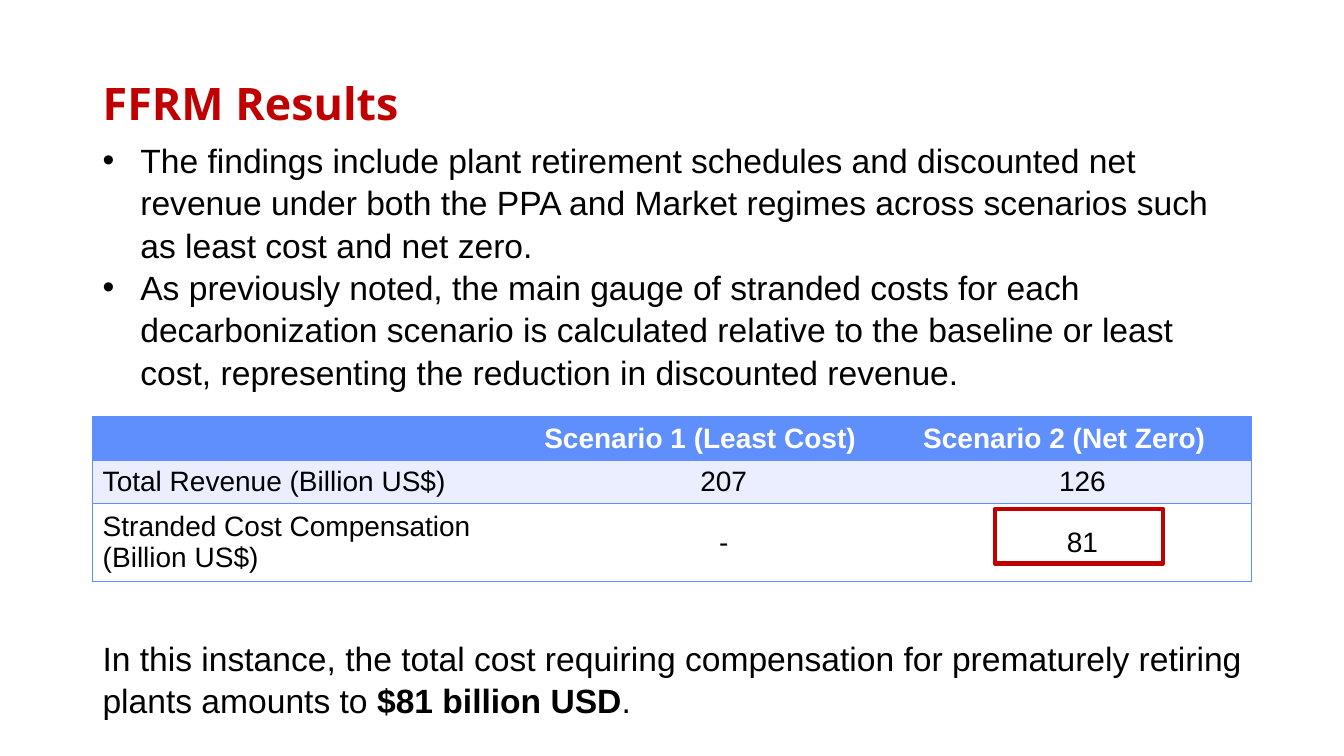
from lxml import etree
from pptx import Presentation
from pptx.dml.color import RGBColor
from pptx.enum import shapes, text
from pptx.oxml import ns
from pptx.util import Pt

COLORS = {"red": "C00000", "blue": "5F8EFD", "band": "EAEEFF", "white": "FFFFFF", "black": "000000"}
LEFT, WIDTH = 66.2, 828
FINDINGS = [
    "The findings include plant retirement schedules and discounted net revenue under both "
    "the PPA and Market regimes across scenarios such as least cost and net zero.",
    "As previously noted, the main gauge of stranded costs for each decarbonization scenario is "
    "calculated relative to the baseline or least cost, representing the reduction in discounted revenue.",
]
RESULTS = [
    ["", "Scenario 1 (Least Cost)", "Scenario 2 (Net Zero)"],
    ["Total Revenue (Billion US$)", "207", "126"],
    ["Stranded Cost Compensation (Billion US$)", "-", "81"],
]
CONCLUSION = [
    ("In this instance, the total cost requiring compensation for prematurely retiring plants amounts to", False),
    (" $81 billion USD", True),
    (".", False),
]
COLUMN_WIDTHS = [315.4, 270.7, 241.9]
ROW_HEIGHTS = [31.2, 31.2, 55.3]
ROW_FILLS = ["blue", "band", "white"]


def rgb(name):
    return RGBColor.from_string(COLORS[name])


def set_font(font, size, color="black", name="Arial", bold=None):
    font.name, font.size, font.bold = name, Pt(size), bold
    font.color.rgb = rgb(color)


def add_title(slide, wording):
    title = slide.shapes.title
    title.left, title.top, title.width, title.height = Pt(LEFT), Pt(28.8), Pt(WIDTH), Pt(89.3)
    frame = title.text_frame
    frame.text = wording
    frame.vertical_anchor = text.MSO_ANCHOR.MIDDLE
    paragraph = frame.paragraphs[0]
    paragraph.alignment = text.PP_ALIGN.LEFT
    set_font(paragraph.font, 32, "red", "Open Sans", True)


def add_text(slide, top, height, paragraphs, bulleted=False):
    """Add a text box; each paragraph is a list of (wording, bold) runs."""
    frame = slide.shapes.add_textbox(Pt(LEFT), Pt(top), Pt(WIDTH), Pt(height)).text_frame
    frame.word_wrap = True
    for index, runs in enumerate(paragraphs):
        paragraph = frame.add_paragraph() if index else frame.paragraphs[0]
        paragraph.line_spacing = 1.05
        if bulleted:
            add_bullet(paragraph)
        set_font(paragraph.font, 24)
        for wording, bold in runs:
            run = paragraph.add_run()
            run.text = wording
            if bold:
                run.font.bold = True


def add_bullet(paragraph):
    properties = paragraph._p.get_or_add_pPr()
    properties.set("marL", str(Pt(27)))
    properties.set("indent", str(Pt(-27)))
    etree.SubElement(properties, ns.qn("a:buFont")).set("typeface", "Arial")
    etree.SubElement(properties, ns.qn("a:buChar")).set("char", "•")


def set_borders(cell, visible_sides):
    properties = cell._tc.get_or_add_tcPr()
    for index, side in enumerate("LRTB"):
        line = etree.Element(ns.qn(f"a:ln{side}"), w=str(Pt(1)))
        if side in visible_sides:
            fill = etree.SubElement(line, ns.qn("a:solidFill"))
            etree.SubElement(fill, ns.qn("a:srgbClr")).set("val", COLORS["blue"])
        else:
            etree.SubElement(line, ns.qn("a:noFill"))
        properties.insert(index, line)


def add_results_table(slide):
    table = slide.shapes.add_table(len(RESULTS), len(COLUMN_WIDTHS), Pt(LEFT), Pt(297.4),
                                   Pt(WIDTH), Pt(sum(ROW_HEIGHTS))).table
    table.horz_banding = False
    for column, width in zip(table.columns, COLUMN_WIDTHS):
        column.width = Pt(width)
    edges = {0: "LTB", len(COLUMN_WIDTHS) - 1: "RTB"}
    for r, values in enumerate(RESULTS):
        table.rows[r].height = Pt(ROW_HEIGHTS[r])
        header = r == 0
        for c, value in enumerate(values):
            cell = table.cell(r, c)
            cell.text = value
            cell.vertical_anchor = text.MSO_ANCHOR.MIDDLE
            cell.fill.solid()
            cell.fill.fore_color.rgb = rgb(ROW_FILLS[r])
            set_borders(cell, edges.get(c, "TB"))
            paragraph = cell.text_frame.paragraphs[0]
            centred = c > 0 and not header
            paragraph.alignment = text.PP_ALIGN.CENTER if centred else text.PP_ALIGN.LEFT
            set_font(paragraph.font, 20, "white" if header else "black", bold=header)


def add_highlight(slide):
    shape = slide.shapes.add_shape(shapes.MSO_SHAPE.RECTANGLE, Pt(710.6), Pt(363.6), Pt(120.2), Pt(38.9))
    shape.shadow.inherit = False
    shape.fill.background()
    shape.line.color.rgb = rgb("red")
    shape.line.width = Pt(3)


def main():
    presentation = Presentation()
    presentation.slide_width, presentation.slide_height = Pt(960), Pt(540)
    slide = presentation.slides.add_slide(presentation.slide_layouts[5])
    add_title(slide, "FFRM Results")
    add_text(slide, 95, 181.4, [[(finding, False)] for finding in FINDINGS], bulleted=True)
    add_results_table(slide)
    add_highlight(slide)
    add_text(slide, 450.7, 65.5, [CONCLUSION])
    presentation.save("out.pptx")


if __name__ == "__main__":
    main()
